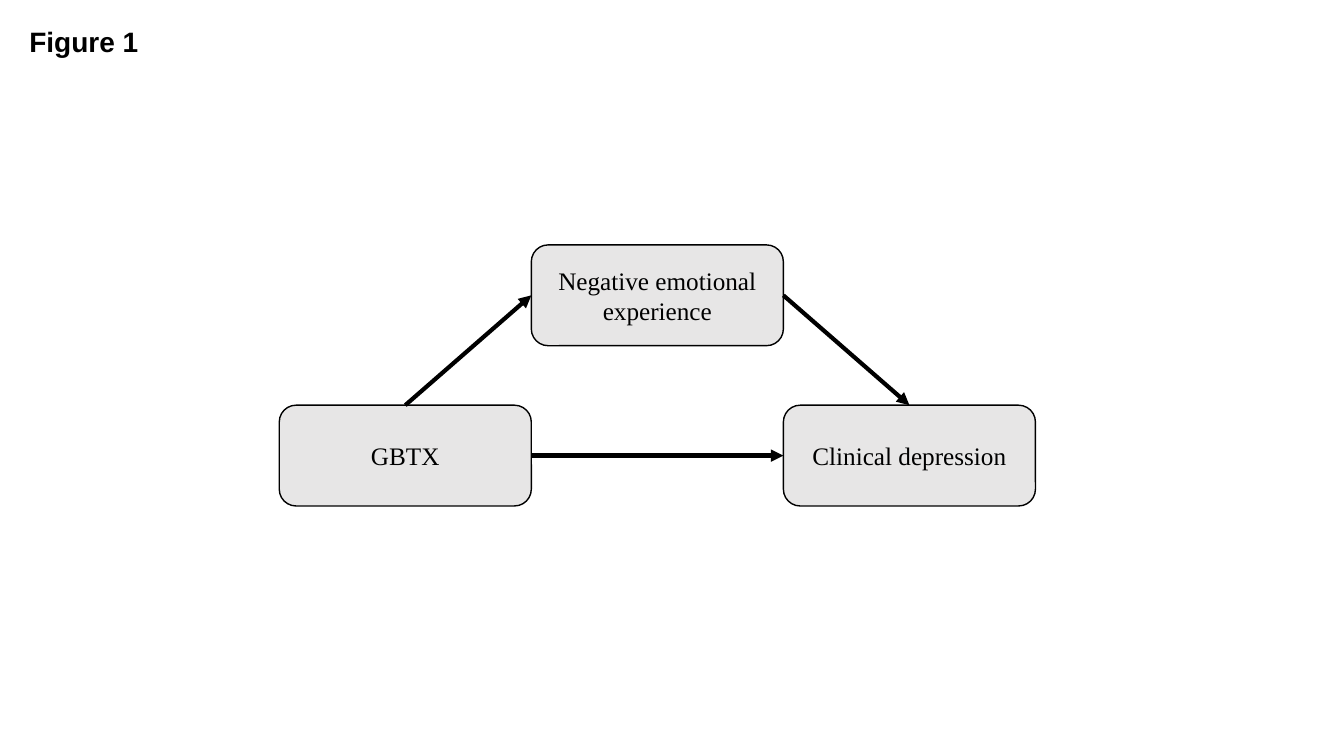
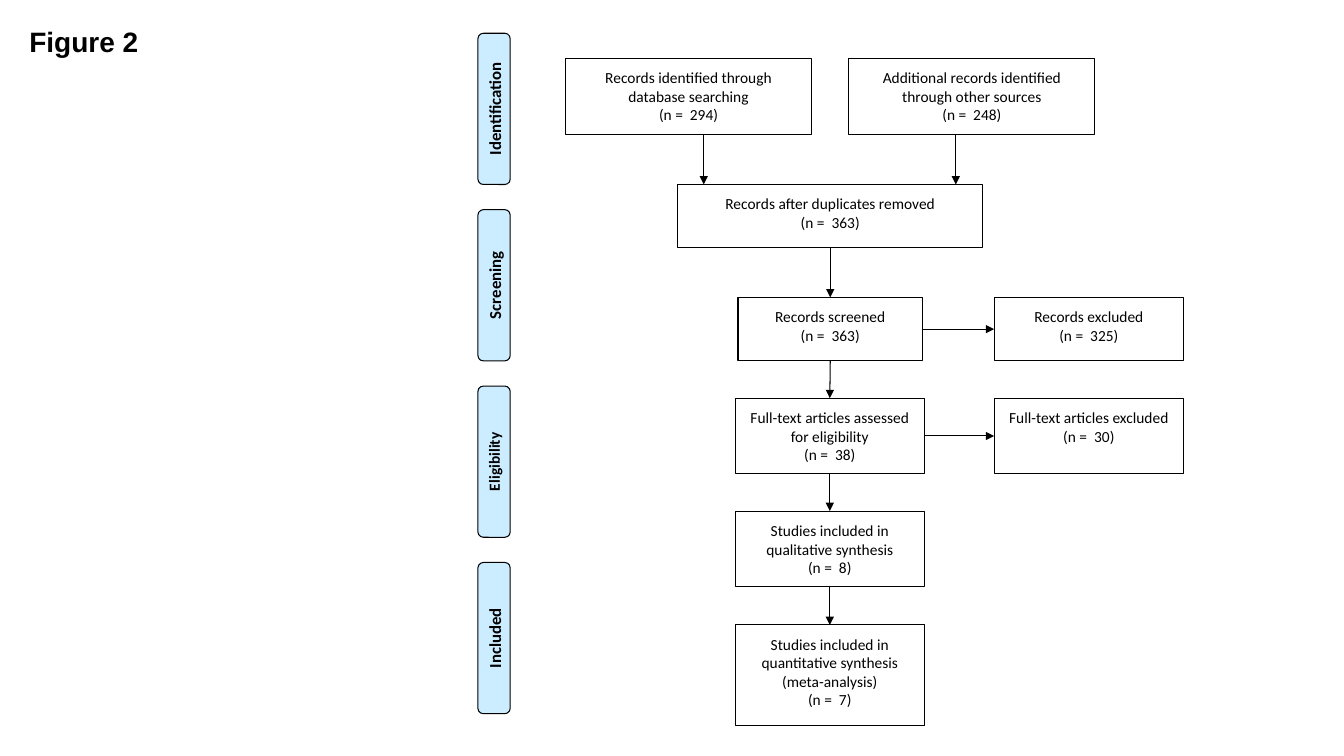
"""Build two figures: a mediation model and a study selection flow chart."""
from dataclasses import dataclass

from lxml import etree
from pptx import Presentation
from pptx.dml.color import RGBColor
from pptx.enum.shapes import MSO_CONNECTOR, MSO_SHAPE
from pptx.enum.text import MSO_ANCHOR, MSO_AUTO_SIZE, PP_ALIGN
from pptx.oxml.ns import qn
from pptx.presentation import Presentation as PresentationType
from pptx.shapes.autoshape import Shape
from pptx.shapes.connector import Connector
from pptx.slide import Slide
from pptx.text.text import Font, TextFrame
from pptx.util import Inches, Pt

RECTANGLE = MSO_SHAPE.RECTANGLE
ROUNDED = MSO_SHAPE.ROUNDED_RECTANGLE
STRAIGHT = MSO_CONNECTOR.STRAIGHT
TOP, MIDDLE = MSO_ANCHOR.TOP, MSO_ANCHOR.MIDDLE
LEFT, CENTER = PP_ALIGN.LEFT, PP_ALIGN.CENTER
NO_AUTOFIT = MSO_AUTO_SIZE.NONE

BLACK, WHITE, GREY, PALE_BLUE = "000000", "FFFFFF", "E7E6E6", "CCECFF"
TITLE_ONLY_LAYOUT = 5
SITE_TOP, SITE_LEFT, SITE_BOTTOM, SITE_RIGHT = range(4)
SITE_FRACTIONS = ((0.5, 0), (0, 0.5), (0.5, 1), (1, 0.5))


@dataclass(frozen=True)
class BoxStyle:
    """Look of one family of boxes."""

    preset: MSO_SHAPE
    fill: str
    line_width: float
    font_name: str
    font_size: float
    inset_x: float
    inset_y: float
    anchor: MSO_ANCHOR = TOP
    bold: bool = False
    rotation: float = 0


@dataclass(frozen=True)
class Box:
    """Place and text lines of one box, in inches."""

    key: str
    left: float
    top: float
    width: float
    height: float
    lines: tuple[str, ...]

    def site(self, index: int) -> tuple[float, float]:
        """Return the point of a connection site."""
        across, down = SITE_FRACTIONS[index]
        return self.left + across * self.width, self.top + down * self.height


@dataclass(frozen=True)
class Link:
    """Arrow between connection sites of two boxes."""

    start: str
    start_site: int
    end: str
    end_site: int


MODEL_STYLE = BoxStyle(ROUNDED, GREY, 1, "Times New Roman", 18, 0.1, 0.05, MIDDLE)
FLOW_STYLE = BoxStyle(RECTANGLE, WHITE, 0.75, "Calibri", 11, 0.1, 0.1)
STAGE_FONT_SIZES = {"Identification": 12, "Screening": 12, "Eligibility": 11, "Included": 12}
STAGE_LEFT, STAGE_TOP, STAGE_PITCH = 4.15, 0.92, 1.75
STAGE_WIDTH, STAGE_HEIGHT = 1.5, 0.32

MODEL_WIDTH, MODEL_HEIGHT, MODEL_LEFT = 2.5, 1, 2.77
MODEL_BOXES = tuple(
    Box(key, MODEL_LEFT + column * MODEL_WIDTH, top, MODEL_WIDTH, MODEL_HEIGHT, (text,))
    for column, (key, top, text) in enumerate(
        (
            ("cause", 4.02, "GBTX"),
            ("mediator", 2.43, "Negative emotional experience"),
            ("outcome", 4.02, "Clinical depression"),
        )
    )
)
MODEL_LINKS = (
    Link("cause", SITE_RIGHT, "outcome", SITE_LEFT),
    Link("cause", SITE_TOP, "mediator", SITE_LEFT),
    Link("mediator", SITE_RIGHT, "outcome", SITE_TOP),
)

FLOW_BOXES = (
    Box("database", 5.61, 0.58, 2.44, 0.75,
        ("Records identified through database searching", "(n =  294)")),
    Box("other", 8.42, 0.58, 2.44, 0.75,
        ("Additional records identified through other sources", "(n =  248)")),
    Box("unique", 6.72, 1.83, 3.03, 0.63,
        ("Records after duplicates removed", "(n =  363)")),
    Box("screened", 7.32, 2.95, 1.83, 0.63, ("Records screened", "(n =  363)")),
    Box("excluded", 9.86, 2.95, 1.88, 0.63, ("Records excluded", "(n =  325)")),
    Box("assessed", 7.29, 3.95, 1.88, 0.75,
        ("Full-text articles assessed for eligibility", "(n =  38)")),
    Box("rejected", 9.86, 3.95, 1.88, 0.75,
        ("Full-text articles excluded", "(n =  30)")),
    Box("qualitative", 7.29, 5.07, 1.88, 0.75,
        ("Studies included in qualitative synthesis", "(n =  8)")),
    Box("quantitative", 7.29, 6.2, 1.88, 1,
        ("Studies included in quantitative synthesis (meta-analysis)", "(n =  7)")),
)
MAIN_ROUTE = ("unique", "screened", "assessed", "qualitative", "quantitative")
FLOW_LINKS = tuple(
    Link(start, SITE_BOTTOM, end, SITE_TOP) for start, end in zip(MAIN_ROUTE, MAIN_ROUTE[1:])
) + (
    Link("screened", SITE_RIGHT, "excluded", SITE_LEFT),
    Link("assessed", SITE_RIGHT, "rejected", SITE_LEFT),
)
SOURCE_ARROW_POSITIONS = (6.98, 9.48)
SOURCE_BOTTOM, UNIQUE_TOP = 1.33, 1.83


def color(hex_code: str) -> RGBColor:
    """Turn a hex string into a colour."""
    return RGBColor.from_string(hex_code)


def format_font(font: Font, name: str, size: float, bold: bool) -> None:
    """Set the face, size and weight of black text."""
    font.name = name
    font.size = Pt(size)
    font.bold = bold
    font.color.rgb = color(BLACK)


def format_frame(frame: TextFrame, inset_x: float, inset_y: float, anchor: MSO_ANCHOR) -> None:
    """Set wrapping, insets and vertical anchor."""
    frame.word_wrap = True
    frame.auto_size = NO_AUTOFIT
    frame.margin_left = frame.margin_right = Inches(inset_x)
    frame.margin_top = frame.margin_bottom = Inches(inset_y)
    frame.vertical_anchor = anchor


def add_figure_slide(presentation: PresentationType, title: str) -> Slide:
    """Add a slide with the figure number at the top left."""
    slide = presentation.slides.add_slide(presentation.slide_layouts[TITLE_ONLY_LAYOUT])
    shape = slide.shapes.title
    shape.left, shape.top = Inches(0.19), Inches(0.19)
    shape.width, shape.height = Inches(9.34), Inches(0.44)
    format_frame(shape.text_frame, 0.1, 0.05, TOP)
    paragraph = shape.text_frame.paragraphs[0]
    paragraph.alignment = LEFT
    run = paragraph.add_run()
    run.text = title
    format_font(run.font, "Arial", 20, True)
    return slide


def add_box(slide: Slide, box: Box, style: BoxStyle) -> Shape:
    """Draw one box with centred text lines."""
    shape = slide.shapes.add_shape(
        style.preset, Inches(box.left), Inches(box.top), Inches(box.width), Inches(box.height)
    )
    shape.rotation = style.rotation
    shape.shadow.inherit = False
    shape.fill.solid()
    shape.fill.fore_color.rgb = color(style.fill)
    shape.line.color.rgb = color(BLACK)
    shape.line.width = Pt(style.line_width)
    format_frame(shape.text_frame, style.inset_x, style.inset_y, style.anchor)
    paragraph = shape.text_frame.paragraphs[0]
    paragraph.alignment = CENTER
    for index, line in enumerate(box.lines):
        if index:
            paragraph.add_line_break()
        run = paragraph.add_run()
        run.text = line
        format_font(run.font, style.font_name, style.font_size, style.bold)
    return shape


def add_arrow(
    slide: Slide, start: tuple[float, float], end: tuple[float, float], width: float
) -> Connector:
    """Draw a black arrow between two points given in inches."""
    connector = slide.shapes.add_connector(
        STRAIGHT, Inches(start[0]), Inches(start[1]), Inches(end[0]), Inches(end[1])
    )
    connector.line.color.rgb = color(BLACK)
    connector.line.width = Pt(width)
    properties = connector.line._get_or_add_ln()
    etree.SubElement(properties, qn("a:tailEnd"), type="triangle")
    etree.SubElement(properties.getparent(), qn("a:effectLst"))
    return connector


def add_diagram(
    slide: Slide,
    boxes: tuple[Box, ...],
    style: BoxStyle,
    links: tuple[Link, ...],
    arrow_width: float,
) -> None:
    """Draw boxes and the arrows attached to them."""
    places = {box.key: box for box in boxes}
    shapes = {box.key: add_box(slide, box, style) for box in boxes}
    for link in links:
        start = places[link.start].site(link.start_site)
        end = places[link.end].site(link.end_site)
        connector = add_arrow(slide, start, end, arrow_width)
        connector.begin_connect(shapes[link.start], link.start_site)
        connector.end_connect(shapes[link.end], link.end_site)


def add_stages(slide: Slide) -> None:
    """Draw the evenly spaced vertical stage labels."""
    for index, (stage, font_size) in enumerate(STAGE_FONT_SIZES.items()):
        style = BoxStyle(
            ROUNDED, PALE_BLUE, 0.75, "Calibri", font_size, 0.05, 0.05, bold=True, rotation=270
        )
        top = STAGE_TOP + index * STAGE_PITCH
        add_box(slide, Box(stage, STAGE_LEFT, top, STAGE_WIDTH, STAGE_HEIGHT, (stage,)), style)


def main() -> None:
    """Build and save the presentation."""
    presentation = Presentation()
    presentation.slide_width = Inches(13.33)
    presentation.slide_height = Inches(7.5)

    model_slide = add_figure_slide(presentation, "Figure 1")
    add_diagram(model_slide, MODEL_BOXES, MODEL_STYLE, MODEL_LINKS, 3)

    flow_slide = add_figure_slide(presentation, "Figure 2")
    add_stages(flow_slide)
    add_diagram(flow_slide, FLOW_BOXES, FLOW_STYLE, FLOW_LINKS, 0.75)
    for position in SOURCE_ARROW_POSITIONS:
        add_arrow(flow_slide, (position, SOURCE_BOTTOM), (position, UNIQUE_TOP), 0.75)

    presentation.save("out.pptx")


if __name__ == "__main__":
    main()
